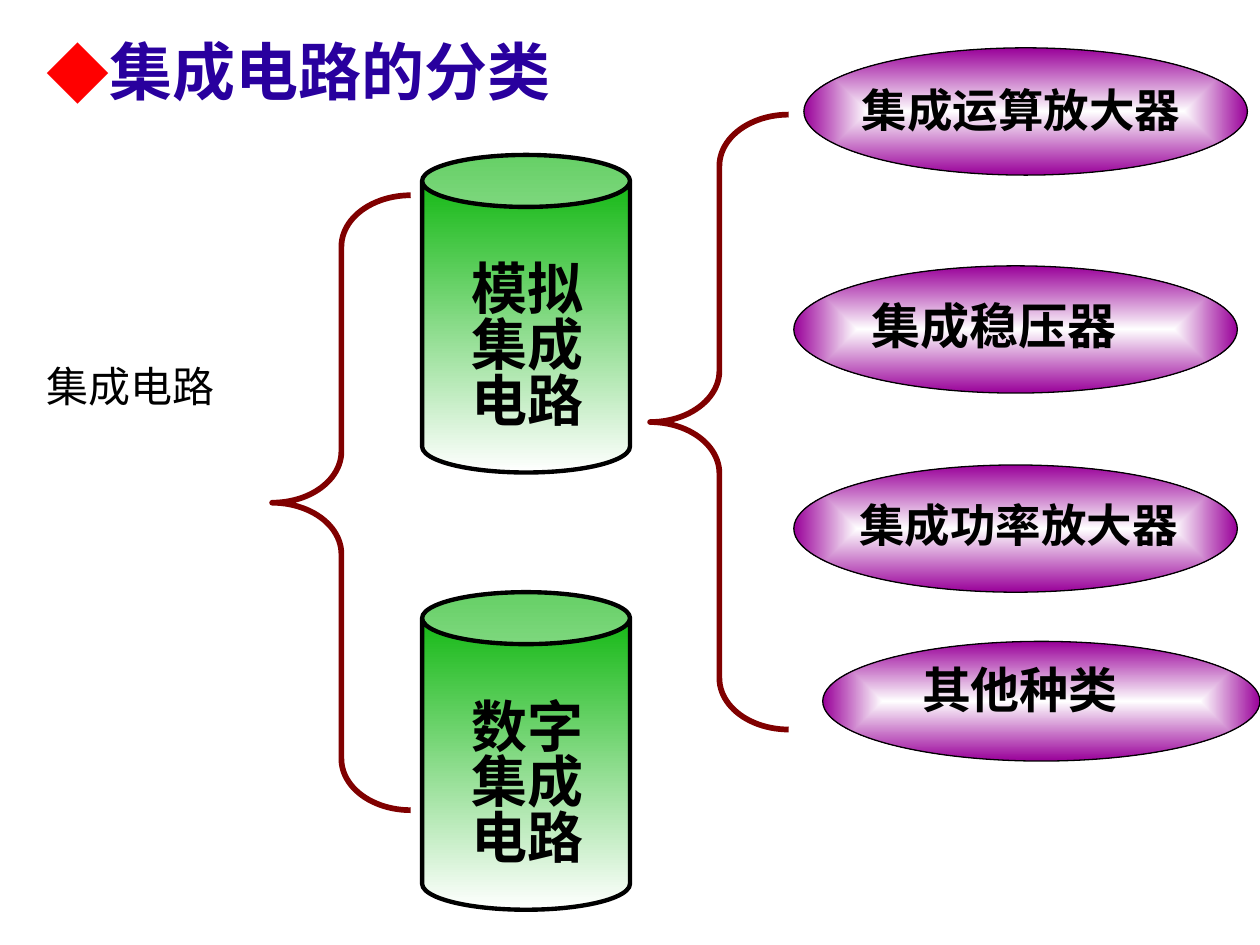
"""Build a slide that classifies integrated circuits."""
import pptx
import pptx.dml.color
import pptx.enum.shapes
import pptx.enum.text
import pptx.oxml
import pptx.oxml.ns
import pptx.util

COLORS = {
    "title": "29009E", "bullet": "FF0000", "text": "000000", "outline": "000000",
    "brace": "800000", "green": "00B200", "purple": "990099", "white": "FFFFFF",
}
COLUMNS, ROWS = 100, 75
CELL = pptx.util.Inches(10) // COLUMNS
CJK_FONT = "Noto Sans CJK SC"
SHAPES = pptx.enum.shapes.MSO_SHAPE


def rgb(name):
    """Return a palette colour."""
    return pptx.dml.color.RGBColor.from_string(COLORS[name])


def xml(markup):
    """Parse one drawing element."""
    head, tail = markup.split(" ", 1)
    return pptx.oxml.parse_xml(f"{head} {pptx.oxml.ns.nsdecls('a')} {tail}")


def grid(*cells):
    """Convert grid cells to slide lengths."""
    return [round(cell * CELL) for cell in cells]


def write(shape, text, size, color="text", font="Arial", bold=True, spacing=1.0, inset=1, wrap=True):
    """Fill a text frame with one formatted paragraph."""
    frame = shape.text_frame
    margin = grid(inset)[0]
    frame_format = {
        "word_wrap": wrap, "vertical_anchor": pptx.enum.text.MSO_ANCHOR.MIDDLE,
        "auto_size": pptx.enum.text.MSO_AUTO_SIZE.NONE, "margin_left": margin,
        "margin_right": margin, "margin_top": 0, "margin_bottom": 0,
    }
    for name, value in frame_format.items():
        setattr(frame, name, value)
    paragraph = frame.paragraphs[0]
    paragraph.alignment = pptx.enum.text.PP_ALIGN.LEFT
    paragraph.line_spacing = spacing
    run = paragraph.add_run()
    run.text = text
    for name, value in {"size": pptx.util.Pt(size), "bold": bold, "name": font}.items():
        setattr(run.font, name, value)
    run.font.color.rgb = rgb(color)
    run.font._element.find(pptx.oxml.ns.qn("a:latin")).addnext(
        xml(f'<a:ea typeface="{CJK_FONT}"/>'))
    return paragraph


def add_title(slide, text):
    """Place the title with a diamond bullet."""
    title = slide.shapes.title
    title.left, title.top, title.width, title.height = grid(2.7, 1.7, 49.6, 7.8)
    paragraph = write(title, text, 36, "title", CJK_FONT)
    properties = paragraph._p.get_or_add_pPr()
    indent = grid(5)[0]
    properties.set("marL", str(indent))
    properties.set("indent", str(-indent))
    properties.append(xml(f'<a:buClr ><a:srgbClr val="{COLORS["bullet"]}"/></a:buClr>'))
    properties.append(xml(f'<a:buFont typeface="{CJK_FONT}"/>'))
    properties.append(xml('<a:buChar char="◆"/>'))


def add_text(slide, cells, text, size, **options):
    """Add a text box on the grid."""
    box = slide.shapes.add_textbox(*grid(*cells))
    write(box, text, size, **options)


def add_outline(slide, kind, cells, color, weight):
    """Add an outlined preset shape without a shadow."""
    shape = slide.shapes.add_shape(kind, *grid(*cells))
    shape.shadow.inherit = False
    shape.line.color.rgb = rgb(color)
    shape.line.width = pptx.util.Pt(weight)
    return shape


def add_gradient(shape, *names):
    """Fill a shape with a two-colour downward gradient."""
    shape.fill.gradient()
    shape.fill.gradient_angle = 270
    for position, (stop, name) in enumerate(zip(shape.fill.gradient_stops, names)):
        stop.color.rgb = rgb(name)
        stop.position = position


def add_brace(slide, left, top):
    """Add a left brace."""
    brace = add_outline(slide, SHAPES.LEFT_BRACE, (left, top, 11, 48.8), "brace", 3.25)
    brace.fill.background()
    brace.adjustments[0] = 0.37


def add_can(slide, top, text):
    """Add a green can with its label."""
    can = add_outline(slide, SHAPES.CAN, (33.5, top, 16.5, 25.2), "outline", 2.5)
    add_gradient(can, "green", "white")
    add_text(slide, (37.4, top + 7.4, 9.4, 16), text, 32, spacing=0.83, inset=0)


def add_ellipse(slide, cells, label_left, label_top, text, size):
    """Add a purple ellipse with its label."""
    ellipse = add_outline(slide, SHAPES.OVAL, cells, "outline", 0.75)
    add_gradient(ellipse, "white", "purple")
    linear = ellipse._element.spPr.find(".//" + pptx.oxml.ns.qn("a:lin"))
    linear.getparent().replace(linear, xml(
        '<a:path path="rect"><a:fillToRect l="50000" t="50000" r="50000" b="50000"/></a:path>'))
    add_text(slide, (label_left, label_top, 29, 6.4), text, size)


def main():
    """Build and save the slide."""
    presentation = pptx.Presentation()
    presentation.slide_width, presentation.slide_height = grid(COLUMNS, ROWS)
    slide = presentation.slides.add_slide(presentation.slide_layouts[5])
    add_title(slide, "集成电路的分类")
    add_text(slide, (2.7, 28.1, 18.1, 5), "集成电路", 24, font=CJK_FONT, bold=False, wrap=False)
    for left, top in ((21.6, 15.5), (51.6, 9.1)):
        add_brace(slide, left, top)
    for top, text in ((12.3, "模拟集成电路"), (47, "数字集成电路")):
        add_can(slide, top, text)
    ellipses = (
        ((63.8, 3.8, 35.2, 10.1), 67.4, 5.5, "集成运算放大器", 26),
        ((63, 21.1, 35.2, 10.1), 68.2, 22.6, "集成稳压器", 28),
        ((63, 36.9, 35.2, 10.1), 67.2, 38.4, "集成功率放大器", 26),
        ((65.3, 50.9, 34.7, 9.5), 72.2, 51.5, "其他种类", 28),
    )
    for ellipse in ellipses:
        add_ellipse(slide, *ellipse)
    presentation.save("out.pptx")


if __name__ == "__main__":
    main()
